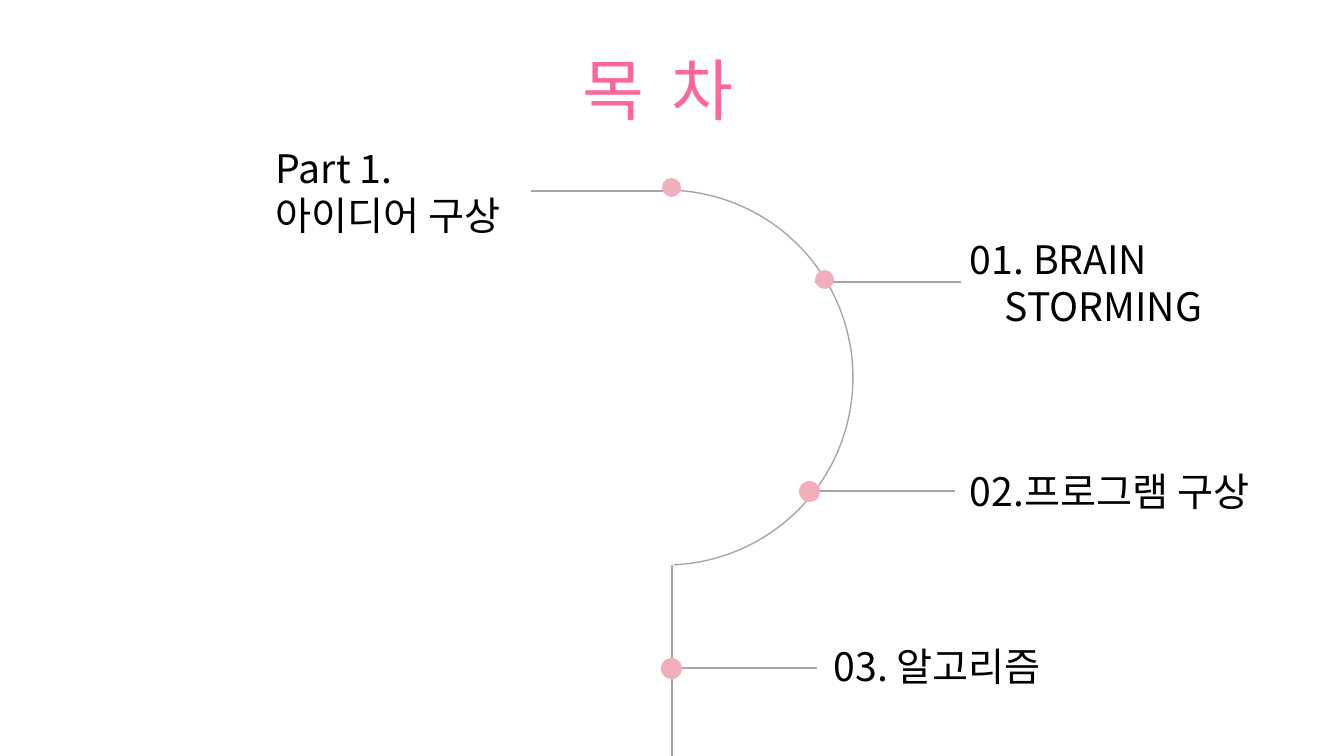
import pptx
import pptx.util
import pptx.dml.color
import pptx.enum.shapes
import pptx.enum.text
import pptx.oxml.ns
import lxml.etree

PX = 9525 * 96 / 100.8
COLORS = {"title": "FF6699", "text": "000000", "line": "A6A6A6", "dot": "F2AEBB"}
KOREAN = "Noto Sans CJK KR"


def px(*lengths):
    return [pptx.util.Emu(round(n * PX)) for n in lengths]


def write(sp, lines, size, font, color):
    tf = sp.text_frame
    tf.word_wrap = True
    tf.auto_size = pptx.enum.text.MSO_AUTO_SIZE.NONE
    tf.vertical_anchor = pptx.enum.text.MSO_ANCHOR.TOP
    for i, (text, indent) in enumerate(lines):
        p = tf.add_paragraph() if i else tf.paragraphs[0]
        p.alignment = pptx.enum.text.PP_ALIGN.LEFT
        if indent:
            p._p.get_or_add_pPr().set("marL", str(px(indent)[0]))
        r = p.add_run()
        r.text = text
        r.font.size = pptx.util.Pt(size)
        r.font.color.rgb = pptx.dml.color.RGBColor.from_string(COLORS[color])
        r.font.name = font
        ea = lxml.etree.SubElement(r._r.rPr, pptx.oxml.ns.qn("a:ea"))
        ea.set("typeface", KOREAN)


prs = pptx.Presentation()
prs.slide_width, prs.slide_height = px(1344, 756)
s = prs.slides.add_slide(prs.slide_layouts[5])
line_color = pptx.dml.color.RGBColor.from_string(COLORS["line"])
dot_color = pptx.dml.color.RGBColor.from_string(COLORS["dot"])

# Title, with wide letter spacing
title = s.shapes.title
title.left, title.top, title.width, title.height = px(572, 43, 213, 92)
write(title, [("목차", 0)], 48, "Arial", "title")
title.text_frame.paragraphs[0].runs[0]._r.rPr.set("spc", "2000")

# Curved path, from just right of the top to just right of the bottom
arc = s.shapes.add_shape(pptx.enum.shapes.MSO_SHAPE.ARC, *px(478, 190, 375, 375))
arc.adjustments[0] = 272.5 * 0.6
arc.adjustments[1] = 87.5 * 0.6
arc.shadow.inherit = False
arc.fill.background()
arc.line.color.rgb = line_color
arc.line.width = pptx.util.Pt(1)

# Stem and branch lines
for x1, y1, x2, y2 in [
    (672, 565, 672, 756),
    (663, 191, 531, 191),
    (815, 282, 961, 282),
    (809, 491, 955, 491),
    (672, 668, 817, 668),
]:
    branch = s.shapes.add_connector(
        pptx.enum.shapes.MSO_CONNECTOR.STRAIGHT, *px(x1, y1, x2, y2))
    branch.line.color.rgb = line_color
    branch.line.width = pptx.util.Pt(1)
    lxml.etree.SubElement(branch._element.spPr, pptx.oxml.ns.qn("a:effectLst"))

# Dots on the path
for left, top, size in [(662, 178, 19), (815, 270, 19), (799, 481, 21), (661, 658, 21)]:
    dot = s.shapes.add_shape(
        pptx.enum.shapes.MSO_SHAPE.OVAL, *px(left, top, size, size))
    dot.shadow.inherit = False
    dot.fill.solid()
    dot.fill.fore_color.rgb = dot_color
    dot.line.fill.background()

# Contents entries: box and lines of text with their indents
for box, lines in [
    ((266, 139, 305, 105), [("Part 1.", 0), ("아이디어 구상", 0)]),
    ((960, 230, 313, 105), [("01. BRAIN", 0), ("STORMING", 35)]),
    ((960, 462, 355, 57), [("02.프로그램 구상", 0)]),
    ((824, 637, 245, 57), [("03. 알고리즘", 0)]),
]:
    entry = s.shapes.add_textbox(*px(*box))
    write(entry, lines, 28, KOREAN, "text")

prs.save("out.pptx")
